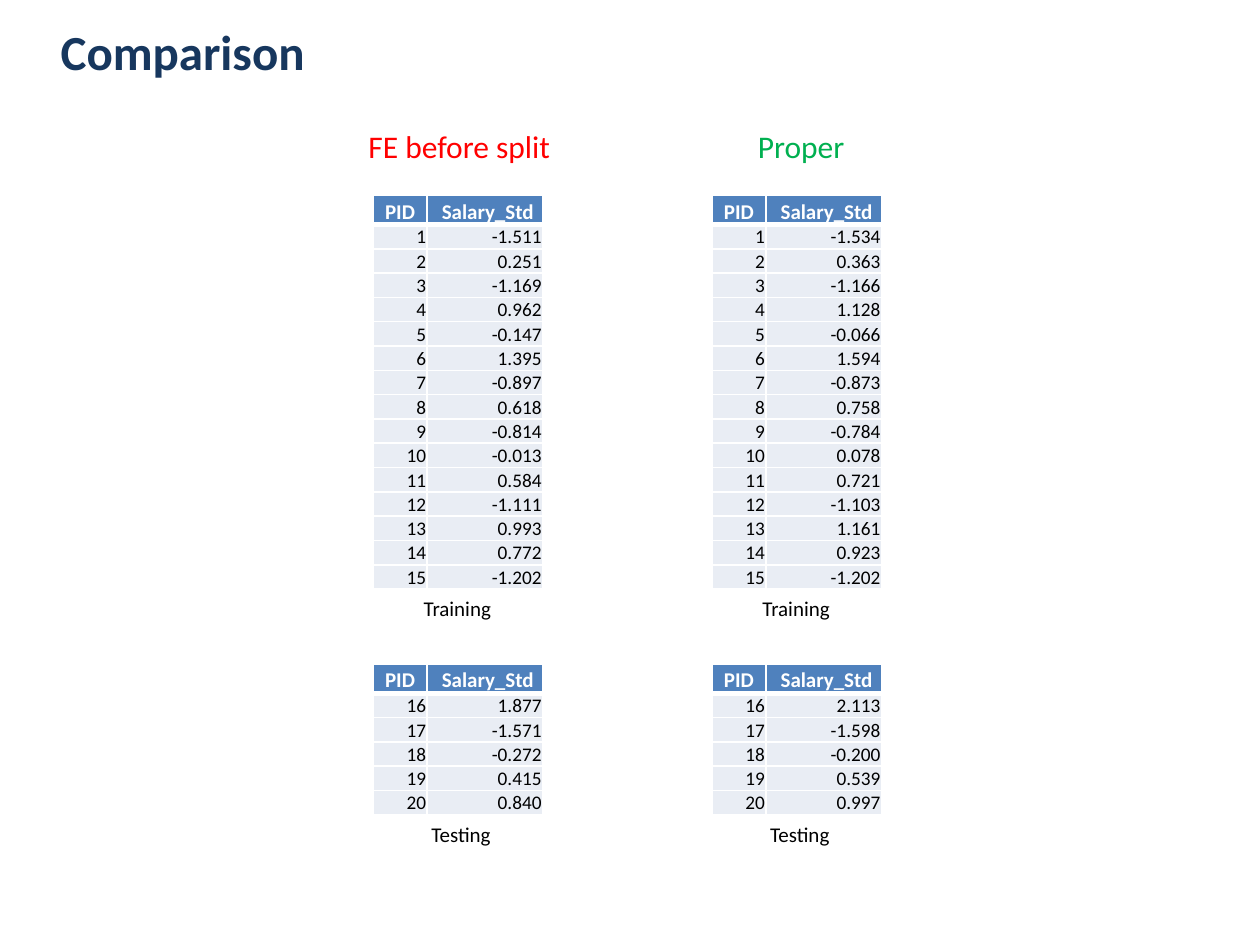
import pptx
import pptx.util
import pptx.dml.color
import pptx.enum.text
import pptx.oxml
import pptx.oxml.ns

Cm = pptx.util.Cm
Pt = pptx.util.Pt
ALIGN = pptx.enum.text.PP_ALIGN
ANCHOR = pptx.enum.text.MSO_ANCHOR
AUTO = pptx.enum.text.MSO_AUTO_SIZE

COLORS = {
    "title": "17375E", "leaky": "FF0000", "proper": "00B050",
    "header": "4F81BD", "row": "E9EDF4", "white": "FFFFFF", "black": "000000",
}
COL_WIDTHS = (1.09, 2.33)
TABLE_WIDTH = sum(COL_WIDTHS)
HEADER_HEIGHT, ROW_HEIGHT = 0.55, 0.49
HEADERS = (("PID", ALIGN.CENTER), ("Salary_Std", ALIGN.RIGHT))

METHODS = [
    {
        "name": "FE before split", "color": "leaky", "left": 7.52,
        "heading_width": 4.22, "heading_shift": 0.03,
        "training": ["-1.511", "0.251", "-1.169", "0.962", "-0.147",
                     "1.395", "-0.897", "0.618", "-0.814", "-0.013",
                     "0.584", "-1.111", "0.993", "0.772", "-1.202"],
        "testing": ["1.877", "-1.571", "-0.272", "0.415", "0.840"],
    },
    {
        "name": "Proper", "color": "proper", "left": 14.35,
        "heading_width": 2.29, "heading_shift": 0.09,
        "training": ["-1.534", "0.363", "-1.166", "1.128", "-0.066",
                     "1.594", "-0.873", "0.758", "-0.784", "0.078",
                     "0.721", "-1.103", "1.161", "0.923", "-1.202"],
        "testing": ["2.113", "-1.598", "-0.200", "0.539", "0.997"],
    },
]


class Deck:
    font = "Calibri"

    def __init__(self):
        self.prs = pptx.Presentation()
        self.prs.slide_width = Cm(25.4)
        self.prs.slide_height = Cm(19.05)
        self.s = self.prs.slides.add_slide(self.prs.slide_layouts[5])

    def run(self, p, text, size, color, bold=False):
        r = p.add_run()
        r.text = text
        r.font.name = self.font
        r.font.size = Pt(size)
        r.font.bold = bold
        r.font.color.rgb = pptx.dml.color.RGBColor.from_string(COLORS[color])

    def title(self, text, left, top, width, height):
        sp = self.s.shapes.title
        sp.left, sp.top, sp.width, sp.height = Cm(left), Cm(top), Cm(width), Cm(height)
        tf = sp.text_frame
        tf.auto_size = AUTO.NONE
        tf.vertical_anchor = ANCHOR.MIDDLE
        p = tf.paragraphs[0]
        p.alignment = ALIGN.LEFT
        self.run(p, text, 28, "title", True)

    def label(self, text, center, top, width, height, size, color, align=ALIGN.LEFT):
        sp = self.s.shapes.add_textbox(
            Cm(center - width / 2), Cm(top), Cm(width), Cm(height))
        tf = sp.text_frame
        tf.word_wrap = False
        tf.auto_size = AUTO.SHAPE_TO_FIT_TEXT
        p = tf.paragraphs[0]
        p.alignment = align
        self.run(p, text, size, color)

    def borders(self, cell, top, bottom):
        tcPr = cell._tc.get_or_add_tcPr()
        for side, width in (("L", 1), ("R", 1), ("T", top), ("B", bottom)):
            tcPr.append(pptx.oxml.parse_xml(
                f'<a:ln{side} {pptx.oxml.ns.nsdecls("a")} w="{Pt(width)}">'
                f'<a:solidFill><a:srgbClr val="{COLORS["white"]}"/></a:solidFill>'
                f'</a:ln{side}>'))

    def cell(self, cell, text, align, header=False, top=1):
        self.borders(cell, top, 3 if header else 1)
        cell.fill.solid()
        cell.fill.fore_color.rgb = pptx.dml.color.RGBColor.from_string(
            COLORS["header" if header else "row"])
        cell.vertical_anchor = ANCHOR.MIDDLE
        cell.margin_left = cell.margin_right = Cm(0.18 if header else 0.02)
        cell.margin_top = Cm(0 if header else 0.02)
        cell.margin_bottom = Cm(0)
        p = cell.text_frame.paragraphs[0]
        p.alignment = align
        if header:
            p.line_spacing = 1.15
            self.run(p, text, 12, "white", True)
        else:
            self.run(p, text, 11, "black")

    def table(self, left, top, first_pid, values):
        height = HEADER_HEIGHT + ROW_HEIGHT * len(values)
        table = self.s.shapes.add_table(
            len(values) + 1, len(COL_WIDTHS),
            Cm(left), Cm(top), Cm(TABLE_WIDTH), Cm(height)).table
        for column, width in zip(table.columns, COL_WIDTHS):
            column.width = Cm(width)
        for i, row in enumerate(table.rows):
            row.height = Cm(ROW_HEIGHT if i else HEADER_HEIGHT)
        for col, (text, align) in enumerate(HEADERS):
            self.cell(table.cell(0, col), text, align, header=True)
        for i, value in enumerate(values, 1):
            for col, text in enumerate((str(first_pid + i - 1), value)):
                self.cell(table.cell(i, col), text, ALIGN.RIGHT, top=3 if i == 1 else 1)


def main():
    deck = Deck()
    deck.title("Comparison", 0.97, 0.13, 20.83, 1.8)
    for method in METHODS:
        left = method["left"]
        center = left + TABLE_WIDTH / 2
        deck.label(method["name"], center + method["heading_shift"], 2.44,
                   method["heading_width"], 1.02, 18, method["color"], ALIGN.CENTER)
        deck.table(left, 3.94, 1, method["training"])
        deck.label("Training", center, 11.89, 1.88, 0.76, 12, "black")
        deck.table(left, 13.39, 16, method["testing"])
        deck.label("Testing", center + 0.08, 16.43, 1.73, 0.76, 12, "black")
    deck.prs.save("out.pptx")


if __name__ == "__main__":
    main()
